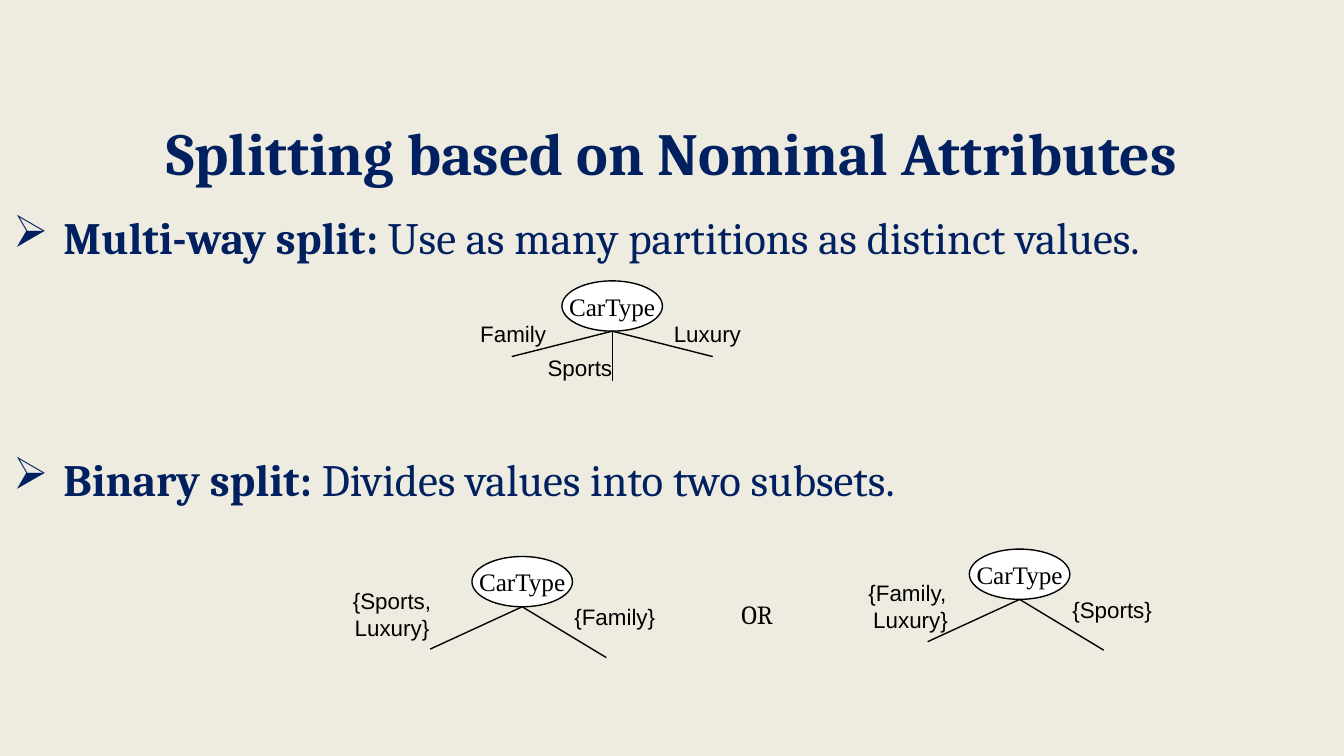
from dataclasses import dataclass

from pptx import Presentation
from pptx.dml.color import RGBColor
from pptx.enum.shapes import MSO_CONNECTOR as Link, MSO_SHAPE as Form
from pptx.enum.text import MSO_ANCHOR as Anchor, PP_ALIGN as Align
from pptx.oxml.ns import qn
from pptx.util import Cm, Pt
from lxml.etree import SubElement as Sub

NAVY = RGBColor(0x00, 0x20, 0x60)
BLACK = RGBColor(0, 0, 0)
WHITE = RGBColor(0xFF, 0xFF, 0xFF)
CREAM = RGBColor(0xEE, 0xEC, 0xE1)

NODE_W, NODE_H = 1.9, 0.95


@dataclass(frozen=True)
class Font:
    name: str
    size: float
    color: RGBColor = BLACK
    bold: bool = False


@dataclass(frozen=True)
class Label:
    lines: tuple[str, ...]
    dx: float
    dy: float
    width: float
    height: float = 0.76
    wrap: bool = False


@dataclass(frozen=True)
class Tree:
    mid: float
    top: float
    ends: tuple[tuple[float, float], ...]
    labels: tuple[Label, ...]


@dataclass(frozen=True)
class Point:
    head: str
    rest: str
    gap: float


TITLE = Font("Cambria", 32, NAVY, True)
HEAD = Font("Cambria", 24, NAVY, True)
BODY = Font("Cambria", 24, NAVY)
NODE = Font("Times New Roman", 13.5)
EDGE = Font("Arial", 12)
WORD = Font("Cambria", 14)

POINTS = (
    Point("Multi-way split: ", "Use as many partitions as distinct values.", 0),
    Point("Binary split: ", "Divides values into two subsets.", 101),
)
FORK = ((-1.74, 0.8), (1.59, 0.96))
TREES = (
    Tree(11.57, 5.31, ((-1.9, 0.48), (0, 0.94), (1.9, 0.48)), (
        Label(("Family",), -1.87, 0.99, 1.78),
        Label(("Sports",), -0.61, 1.63, 1.75),
        Label(("Luxury",), 1.8, 0.99, 1.8),
    )),
    Tree(19.27, 10.38, FORK, (
        Label(("{Family, ", "Luxury}"), -2.06, 1.08, 2.11, 1.3),
        Label(("{Sports}",), 1.75, 1.14, 2.06),
    )),
    Tree(9.87, 10.52, FORK, (
        Label(("{Sports, Luxury}",), -2.46, 1.08, 2.16, 1.3, True),
        Label(("{Family}",), 1.75, 1.14, 2.06),
    )),
)


def add_run(para, text: str, font: Font) -> None:
    run = para.add_run()
    run.text = text
    run.font.name = font.name
    run.font.size = Pt(font.size)
    run.font.bold = font.bold
    run.font.color.rgb = font.color


def add_box(shapes, x: float, y: float, w: float, h: float):
    frame = shapes.add_textbox(Cm(x), Cm(y), Cm(w), Cm(h)).text_frame
    frame.word_wrap = True
    return frame


def add_label(shapes, label: Label, x: float, y: float, font: Font) -> None:
    frame = add_box(shapes, x + label.dx - label.width / 2,
                    y + label.dy - label.height / 2, label.width, label.height)
    frame.word_wrap = label.wrap
    frame.vertical_anchor = Anchor.MIDDLE
    para = frame.paragraphs[0]
    para.alignment = Align.CENTER
    for i, line in enumerate(label.lines):
        if i:
            para.add_line_break()
        add_run(para, line, font)


def add_node(shapes, tree: Tree) -> None:
    node = shapes.add_shape(Form.OVAL, Cm(tree.mid - NODE_W / 2), Cm(tree.top),
                            Cm(NODE_W), Cm(NODE_H))
    node.shadow.inherit = False
    node.fill.solid()
    node.fill.fore_color.rgb = WHITE
    node.line.color.rgb = BLACK
    node.line.width = Pt(0.75)
    frame = node.text_frame
    frame.word_wrap = False
    frame.vertical_anchor = Anchor.MIDDLE
    para = frame.paragraphs[0]
    para.alignment = Align.CENTER
    add_run(para, "CarType", NODE)


def add_branch(shapes, x: float, y: float, dx: float, dy: float) -> None:
    line = shapes.add_connector(Link.STRAIGHT, Cm(x), Cm(y), Cm(x + dx), Cm(y + dy))
    line.line.color.rgb = BLACK
    line.line.width = Pt(0.75)
    Sub(line._element.spPr, qn("a:effectLst"))


def add_tree(slide, tree: Tree) -> None:
    shapes = slide.shapes.add_group_shape().shapes
    add_node(shapes, tree)
    for dx, dy in tree.ends:
        add_branch(shapes, tree.mid, tree.top + NODE_H, dx, dy)
    for label in tree.labels:
        add_label(shapes, label, tree.mid, tree.top, EDGE)


def add_point(para, point: Point) -> None:
    para.space_before = Pt(point.gap)
    props = para._p.get_or_add_pPr()
    props.set("marL", str(Cm(0.95)))
    props.set("indent", str(-Cm(0.95)))
    Sub(props, qn("a:buChar")).set("char", "➢")
    add_run(para, point.head, HEAD)
    add_run(para, point.rest, BODY)


def main() -> None:
    deck = Presentation()
    deck.slide_width, deck.slide_height = Cm(25.4), Cm(14.29)
    slide = deck.slides.add_slide(deck.slide_layouts[6])
    slide.background.fill.solid()
    slide.background.fill.fore_color.rgb = CREAM

    body = add_box(slide.shapes, 0, 3.84, 25.4, 7.77)
    for i, point in enumerate(POINTS):
        add_point(body.add_paragraph() if i else body.paragraphs[0], point)
    for tree in TREES:
        add_tree(slide, tree)
    add_label(slide.shapes, Label(("OR",), 0, 0, 1.14, 0.86), 14.31, 11.61, WORD)

    title = add_box(slide.shapes, 0, 2.06, 25.4, 1.9).paragraphs[0]
    title.alignment = Align.CENTER
    add_run(title, "Splitting based on Nominal Attributes", TITLE)
    deck.save("out.pptx")


if __name__ == "__main__":
    main()
